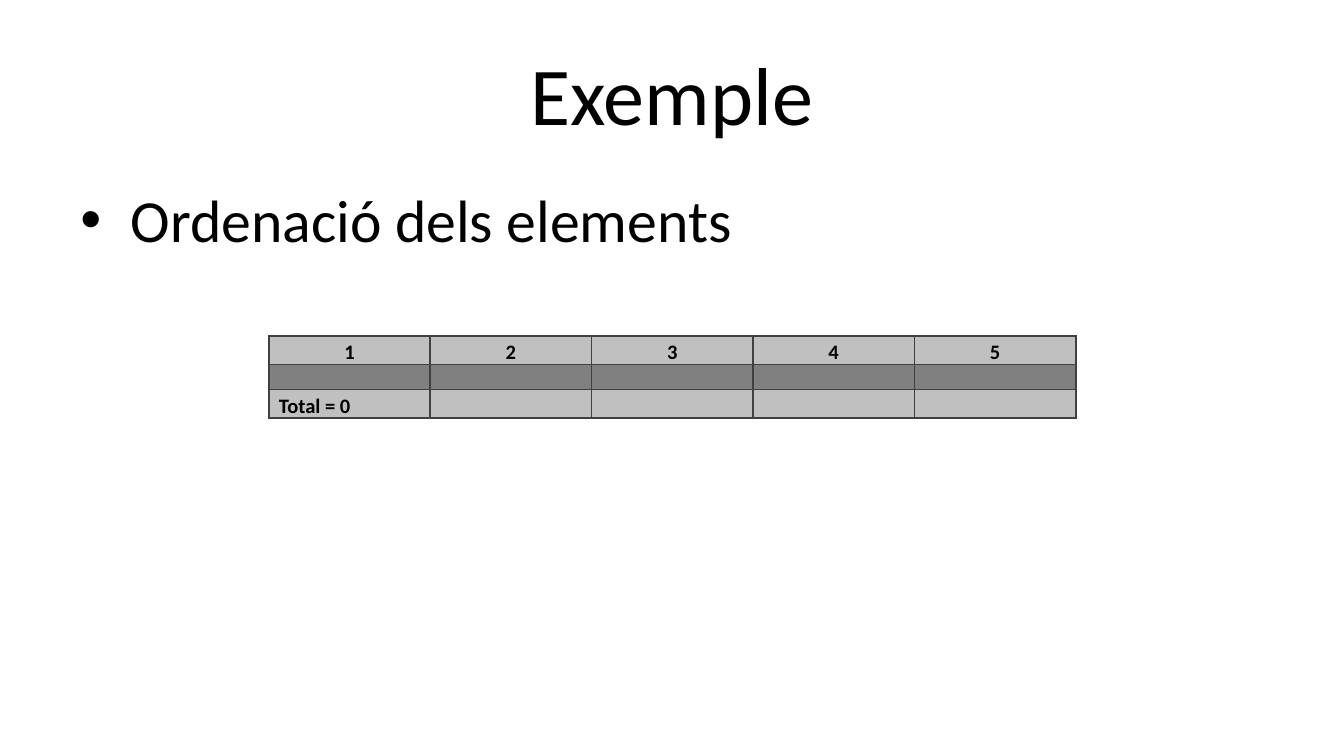
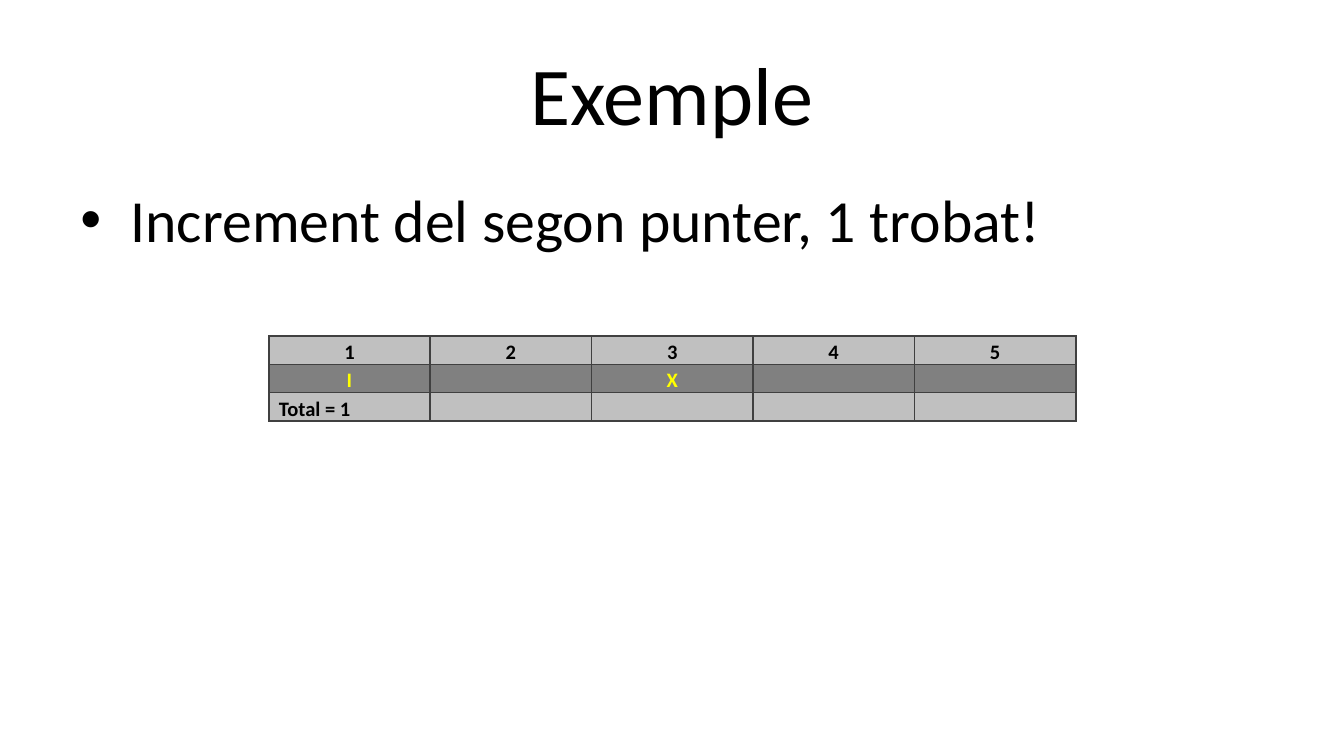
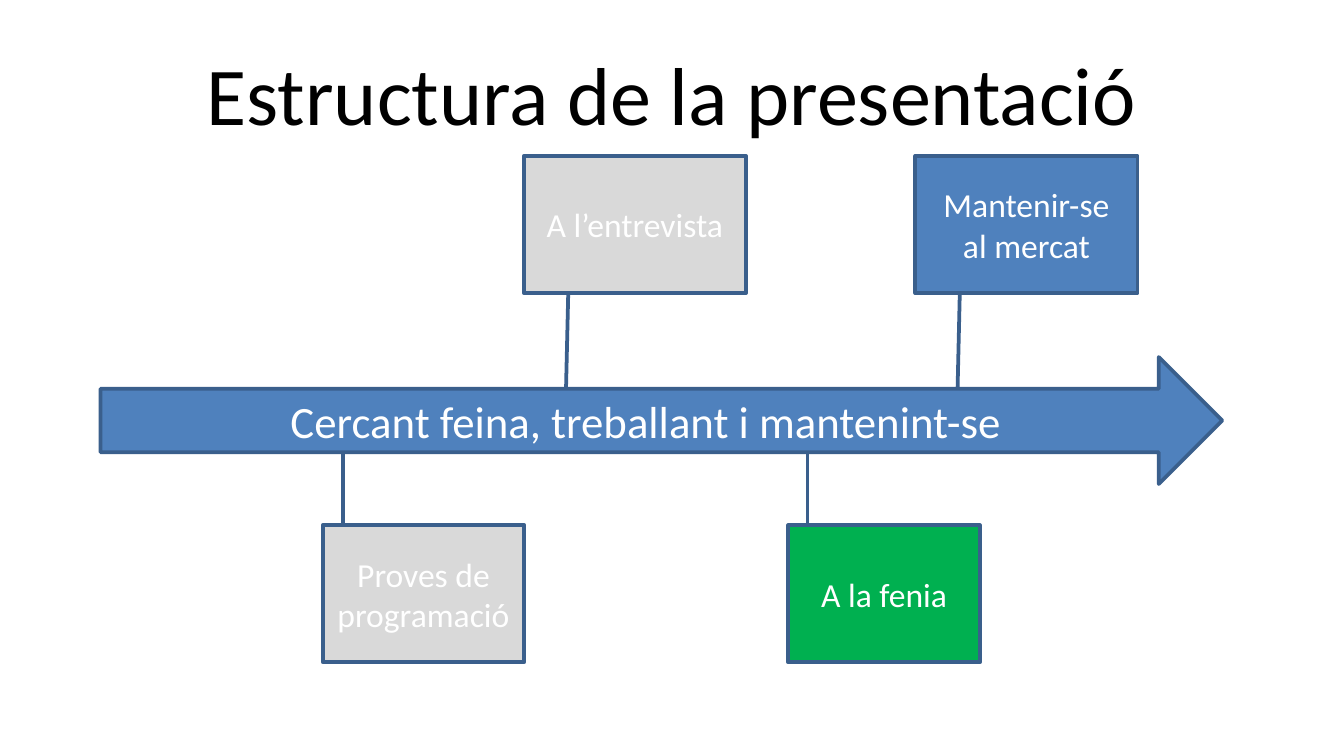
"""Build three slides: two pointer-search tables and a timeline of the talk."""
import lxml.etree
import pptx
import pptx.dml.color
import pptx.enum.shapes
import pptx.enum.text
import pptx.oxml.ns
import pptx.util

Cm = pptx.util.Cm
Pt = pptx.util.Pt
SHAPES = pptx.enum.shapes.MSO_SHAPE
ALIGN = pptx.enum.text.PP_ALIGN
ANCHOR = pptx.enum.text.MSO_ANCHOR

FONT = "Calibri"
COLORS = {
    "text": "000000",
    "light_text": "FFFFFF",
    "pointer": "FFFF00",
    "outer_row": "C0C0C0",
    "middle_row": "808080",
    "border": "404040",
    "outline": "3A5F8C",
    "plain": "4F81BD",
    "done": "D9D9D9",
    "current": "00B050",
}
MARGIN, CONTENT_WIDTH = 1.27, 22.86
COLUMN_WIDTH, ROW_HEIGHT = 3.05, 0.48
UPPER_TOP, LOWER_TOP, CALLOUT_HEIGHT = 2.95, 9.93, 2.59
UPPER_LEADER = (1.0, 0.2, 1.7, 0.19)
LOWER_LEADER = (0, 0.1, -0.54, 0.1)


def rgb(name):
    return pptx.dml.color.RGBColor.from_string(COLORS[name])


def format_paragraph(paragraph, size, color, align=ALIGN.CENTER, bold=False):
    paragraph.alignment = align
    paragraph.font.name = FONT
    paragraph.font.size = Pt(size)
    paragraph.font.bold = bold
    paragraph.font.color.rgb = rgb(color)


def add_titled_slide(presentation, title):
    slide = presentation.slides.add_slide(presentation.slide_layouts[5])
    shape = slide.shapes.title
    shape.left, shape.top = Cm(MARGIN), Cm(0.57)
    shape.width, shape.height = Cm(CONTENT_WIDTH), Cm(2.38)
    shape.text_frame.text = title
    shape.text_frame.vertical_anchor = ANCHOR.MIDDLE
    format_paragraph(shape.text_frame.paragraphs[0], 44, "text")
    return slide


def add_bullet(slide, text):
    shape = slide.shapes.add_textbox(Cm(MARGIN), Cm(3.33), Cm(CONTENT_WIDTH), Cm(9.43))
    shape.text_frame.word_wrap = True
    paragraph = shape.text_frame.paragraphs[0]
    paragraph.text = text
    properties = paragraph._p.get_or_add_pPr()
    properties.set("marL", str(Cm(0.95)))
    properties.set("indent", str(-Cm(0.95)))
    for tag, attribute, value in (("a:buFont", "typeface", "Arial"), ("a:buChar", "char", "•")):
        element = lxml.etree.SubElement(properties, pptx.oxml.ns.qn(tag))
        element.set(attribute, value)
    paragraph.space_before = Pt(6.4)
    format_paragraph(paragraph, 32, "text", ALIGN.LEFT)


def add_cell_borders(cell):
    properties = cell._tc.get_or_add_tcPr()
    for side in ("a:lnL", "a:lnR", "a:lnT", "a:lnB"):
        line = lxml.etree.SubElement(properties, pptx.oxml.ns.qn(side), w=str(Pt(1)))
        fill = lxml.etree.SubElement(line, pptx.oxml.ns.qn("a:solidFill"))
        lxml.etree.SubElement(fill, pptx.oxml.ns.qn("a:srgbClr"), val=COLORS["border"])


def format_cell(cell, text, fill, color, align):
    add_cell_borders(cell)
    cell.fill.solid()
    cell.fill.fore_color.rgb = rgb(fill)
    cell.margin_left = cell.margin_right = Cm(0.19)
    cell.margin_top = cell.margin_bottom = 0
    paragraph = cell.text_frame.paragraphs[0]
    if text:
        paragraph.text = text
        paragraph.line_spacing = 1.15
    format_paragraph(paragraph, 11, color, align, bold=True)


def add_search_table(slide, pointers, total):
    rows = [
        (["1", "2", "3", "4", "5"], "outer_row", "text", ALIGN.CENTER),
        (pointers, "middle_row", "pointer", ALIGN.CENTER),
        ([f"Total = {total}", "", "", "", ""], "outer_row", "text", ALIGN.LEFT),
    ]
    columns = len(pointers)
    table = slide.shapes.add_table(
        len(rows), columns, Cm(5.08), Cm(6.35),
        Cm(COLUMN_WIDTH * columns), Cm(ROW_HEIGHT * len(rows)),
    ).table
    table.first_row = table.horz_banding = False
    for row, (texts, fill, color, align) in enumerate(rows):
        for column, text in enumerate(texts):
            format_cell(table.cell(row, column), text, fill, color, align)


def add_box(slide, kind, text, left, top, width, height, fill, size):
    shape = slide.shapes.add_shape(kind, Cm(left), Cm(top), Cm(width), Cm(height))
    shape.shadow.inherit = False
    shape.fill.solid()
    shape.fill.fore_color.rgb = rgb(fill)
    shape.line.color.rgb = rgb("outline")
    shape.line.width = Pt(2)
    shape.text_frame.word_wrap = True
    shape.text_frame.vertical_anchor = ANCHOR.MIDDLE
    shape.text_frame.text = text
    format_paragraph(shape.text_frame.paragraphs[0], size, "light_text")
    return shape


def add_callout(slide, text, left, top, width, fill, leader):
    shape = add_box(slide, SHAPES.LINE_CALLOUT_1, text, left, top, width, CALLOUT_HEIGHT, fill, 18)
    for index, value in enumerate(leader):
        shape.adjustments[index] = value


def add_timeline(slide):
    add_box(slide, SHAPES.RIGHT_ARROW, "Cercant feina, treballant i mantenint-se",
            1.9, 6.75, 21.2, 2.4, "plain", 24)
    for text, left, top, width, fill, leader in (
        ("Proves de programació", 6.1, LOWER_TOP, 3.81, "done", LOWER_LEADER),
        ("A l’entrevista", 9.9, UPPER_TOP, 4.2, "done", UPPER_LEADER),
        ("A la fenia", 14.9, LOWER_TOP, 3.62, "current", LOWER_LEADER),
        ("Mantenir-se al mercat", 17.3, UPPER_TOP, 4.2, "plain", UPPER_LEADER),
    ):
        add_callout(slide, text, left, top, width, fill, leader)


def main():
    presentation = pptx.Presentation()
    presentation.slide_width, presentation.slide_height = Cm(25.4), Cm(14.29)
    for bullet, pointers, total in (
        ("Ordenació dels elements", ["", "", "", "", ""], 0),
        ("Increment del segon punter, 1 trobat!", ["I", "", "X", "", ""], 1),
    ):
        slide = add_titled_slide(presentation, "Exemple")
        add_bullet(slide, bullet)
        add_search_table(slide, pointers, total)
    add_timeline(add_titled_slide(presentation, "Estructura de la presentació"))
    presentation.save("out.pptx")


if __name__ == "__main__":
    main()
